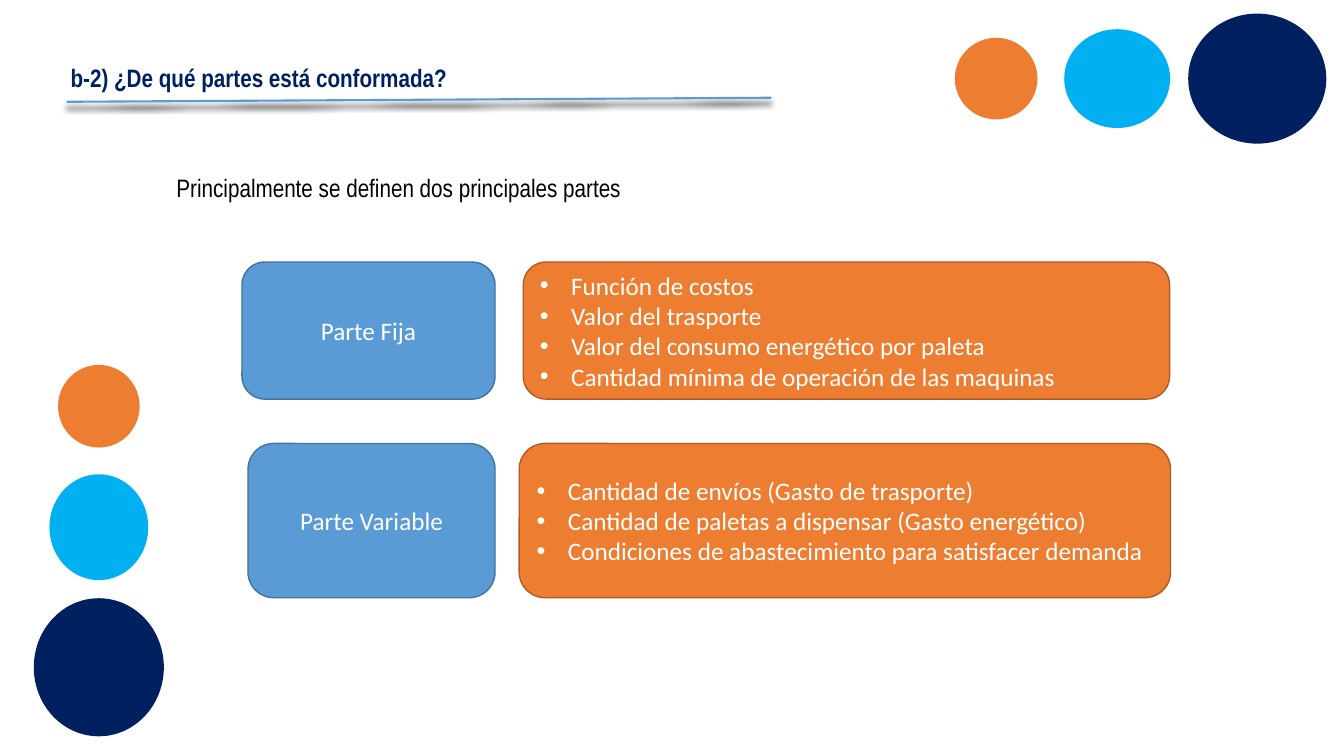
from dataclasses import dataclass

from lxml import etree
from pptx import Presentation
from pptx import util as u
from pptx.dml import color
from pptx.enum import shapes, text
from pptx.oxml import ns


@dataclass(frozen=True)
class Theme:
    navy: str = "002060"
    cyan: str = "00B0F0"
    orange: str = "ED7D31"
    orange_edge: str = "AF5C24"
    blue: str = "5B9BD5"
    blue_edge: str = "43739E"
    white: str = "FFFFFF"
    black: str = "000000"
    heading_font: str = "Arial Narrow"
    body_font: str = "Calibri"
    size: float = 18


THEME = Theme()

# Circle diameters (along the row, across it) and centre offsets from the largest
CIRCLES = [
    (1.37, 1.29, 0, THEME.navy),
    (1.05, 0.98, 1.39, THEME.cyan),
    (0.82, 0.81, 2.59, THEME.orange),
]

# Label, items, label box and detail box (left, top, width, height)
PARTS = [
    ("Parte Fija",
     ["Función de costos", "Valor del trasporte",
      "Valor del consumo energético por paleta",
      "Cantidad mínima de operación de las maquinas"],
     (2.4, 2.6, 2.51, 1.36), (5.19, 2.6, 6.41, 1.36)),
    ("Parte Variable",
     ["Cantidad de envíos (Gasto de trasporte)",
      "Cantidad de paletas a dispensar (Gasto energético)",
      "Condiciones de abastecimiento para satisfacer demanda"],
     (2.46, 4.4, 2.45, 1.53), (5.15, 4.4, 6.46, 1.53)),
]


def rgb(value):
    return color.RGBColor.from_string(value)


def inches(values):
    return [u.Inches(value) for value in values]


def apply(target, formats):
    for name, value in formats.items():
        setattr(target, name, value)


def add_node(parent, tag, **attributes):
    return etree.SubElement(parent, ns.qn(tag), attributes)


def place(placeholder, box):
    apply(placeholder, dict(zip(("left", "top", "width", "height"), inches(box))))


def write(frame, lines, font, ink, paragraph_formats, bold=False, bullet=False):
    for index, line in enumerate(lines):
        paragraph = frame.paragraphs[0] if index == 0 else frame.add_paragraph()
        paragraph.text = line
        apply(paragraph, paragraph_formats)
        apply(paragraph.font, {"name": font, "size": u.Pt(THEME.size), "bold": bold})
        paragraph.font.color.rgb = rgb(ink)
        properties = paragraph._p.get_or_add_pPr()
        indent = u.Inches(0.31) if bullet else 0
        properties.set("marL", str(indent))
        properties.set("indent", str(-indent))
        mark = etree.Element(ns.qn("a:buChar" if bullet else "a:buNone"))
        if bullet:
            mark.set("char", "•")
        defaults = properties.find(ns.qn("a:defRPr"))
        if defaults is None:
            properties.append(mark)
        else:
            defaults.addprevious(mark)
        if bullet:
            mark.addprevious(etree.Element(ns.qn("a:buFont"), typeface="Arial"))


def add_filled(slide, kind, box, fill, edge=None):
    shape = slide.shapes.add_shape(kind, *inches(box))
    shape.shadow.inherit = False
    shape.fill.solid()
    shape.fill.fore_color.rgb = rgb(fill)
    if edge:
        shape.line.color.rgb = rgb(edge)
        shape.line.width = u.Pt(1)
    else:
        shape.line.fill.background()
    return shape


# Decorative circles, shrinking leftwards or upwards from the largest one
def add_circles(slide, center_x, center_y, upwards=False):
    for width, height, offset, fill in CIRCLES:
        x = center_x if upwards else center_x - offset
        y = center_y - offset if upwards else center_y
        box = (x - width / 2, y - height / 2, width, height)
        circle = add_filled(slide, shapes.MSO_SHAPE.OVAL, box, fill)
        circle.rotation = 90 if upwards else 0


# Title with its shadowed underline
def add_heading(slide, box):
    left, top, _, height = box
    start = (left + 0.06, top + height + 0.04)
    rule = slide.shapes.add_connector(
        shapes.MSO_CONNECTOR.STRAIGHT, *inches((*start, start[0] + 6.99, start[1] - 0.04)))
    rule.line.color.rgb = rgb(THEME.blue)
    rule.line.width = u.Pt(1.5)
    effects = add_node(rule._element.spPr, "a:effectLst")
    shadow = add_node(effects, "a:outerShdw", blurRad=str(u.Pt(4)), dist=str(u.Pt(4)),
                      dir="5400000", algn="ctr", rotWithShape="0")
    add_node(shadow, "a:srgbClr", val=THEME.black)

    title = slide.shapes.title
    place(title, box)
    apply(title.text_frame, {"word_wrap": False,
                             "auto_size": text.MSO_AUTO_SIZE.SHAPE_TO_FIT_TEXT,
                             "vertical_anchor": text.MSO_ANCHOR.TOP})
    write(title.text_frame, ["b-2) ¿De qué partes está conformada?"], THEME.heading_font,
          THEME.navy, {"alignment": text.PP_ALIGN.LEFT}, bold=True)


# Introductory sentence
def add_intro(slide, box):
    intro = slide.placeholders[1]
    place(intro, box)
    apply(intro.text_frame, {"word_wrap": True,
                             "auto_size": text.MSO_AUTO_SIZE.SHAPE_TO_FIT_TEXT})
    write(intro.text_frame, ["Principalmente se definen dos principales partes"],
          THEME.heading_font, THEME.black,
          {"line_spacing": 1.07, "space_before": u.Pt(0), "space_after": u.Pt(8)})


# One part: its label and the list of what it includes
def add_part(slide, label, items, label_box, detail_box):
    cards = [
        (label_box, [label], THEME.blue, THEME.blue_edge, text.PP_ALIGN.CENTER, False),
        (detail_box, items, THEME.orange, THEME.orange_edge, text.PP_ALIGN.LEFT, True),
    ]
    for box, lines, fill, edge, alignment, bullet in cards:
        card = add_filled(slide, shapes.MSO_SHAPE.ROUNDED_RECTANGLE, box, fill, edge)
        card.text_frame.vertical_anchor = text.MSO_ANCHOR.MIDDLE
        write(card.text_frame, lines, THEME.body_font, THEME.white,
              {"alignment": alignment}, bullet=bullet)


def main():
    deck = Presentation()
    apply(deck, {"slide_width": u.Inches(13.33), "slide_height": u.Inches(7.5)})
    slide = deck.slides.add_slide(deck.slide_layouts[1])
    add_circles(slide, 12.47, 0.78)
    add_circles(slide, 0.98, 6.62, upwards=True)
    add_heading(slide, (0.6, 0.57, 3.98, 0.4))
    add_intro(slide, (1.65, 1.64, 10.81, 0.4))
    for part in PARTS:
        add_part(slide, *part)
    deck.save("out.pptx")


if __name__ == "__main__":
    main()
